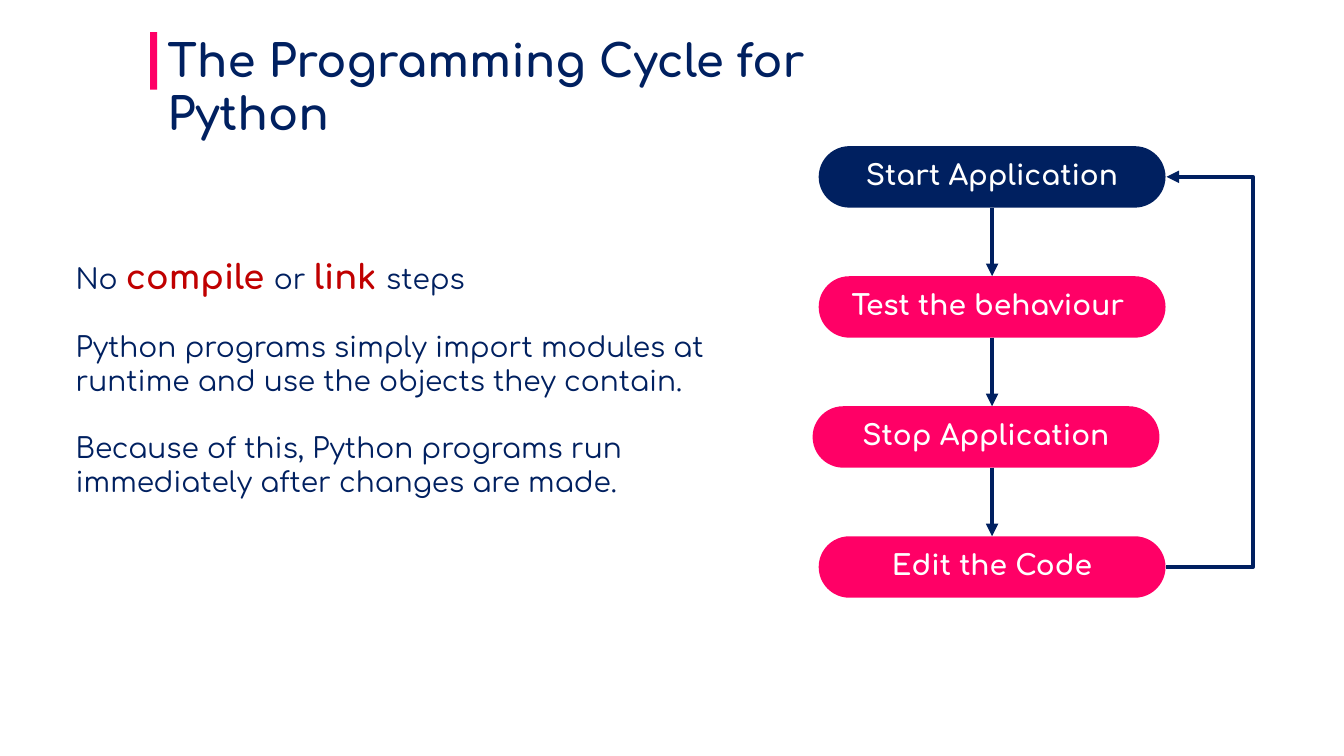
from lxml.etree import SubElement
from pptx import Presentation
from pptx.dml.color import RGBColor
from pptx.enum.shapes import MSO_CONNECTOR, MSO_SHAPE
from pptx.enum.text import MSO_ANCHOR, MSO_AUTO_SIZE, PP_ALIGN
from pptx.oxml.ns import qn
from pptx.util import Inches, Pt

THEME = {
    "font": "Comfortaa",
    "navy": RGBColor.from_string("002060"),
    "pink": RGBColor.from_string("FF0066"),
    "red": RGBColor.from_string("C00000"),
    "white": RGBColor.from_string("FFFFFF"),
    "title": Pt(32),
    "strong": Pt(24),
    "text": Pt(20),
    "line": Pt(3),
}


def add_text(p, text, size="text", color="navy", bold=False):
    r = p.add_run()
    r.text = text
    r.font.name = THEME["font"]
    r.font.size = THEME[size]
    r.font.bold = bold
    r.font.color.rgb = THEME[color]


def add_arrow(kind, x1, y1, x2, y2):
    cxn = s.shapes.add_connector(kind, Inches(x1), Inches(y1), Inches(x2), Inches(y2))
    cxn.line.color.rgb = THEME["navy"]
    cxn.line.width = THEME["line"]
    SubElement(cxn.line._get_or_add_ln(), qn("a:tailEnd"), type="triangle")
    SubElement(cxn._element.spPr, qn("a:effectLst"))
    return cxn


prs = Presentation()
prs.slide_width, prs.slide_height = Inches(13.33), Inches(7.5)
s = prs.slides.add_slide(prs.slide_layouts[1])

title, body = s.shapes.title, s.placeholders[1]
for sp, box in ((title, (1.56, 0.32, 7.22, 0.59)), (body, (0.65, 2.49, 6.67, 2.52))):
    sp.left, sp.top, sp.width, sp.height = [Inches(v) for v in box]
    tf = sp.text_frame
    tf.word_wrap = True
    tf.auto_size = MSO_AUTO_SIZE.NONE
    tf.vertical_anchor = MSO_ANCHOR.TOP

title.text_frame.margin_top = 0
p = title.text_frame.paragraphs[0]
p.alignment = PP_ALIGN.LEFT
add_text(p, "The Programming Cycle for Python", size="title", bold=True)

strong = {"size": "strong", "color": "red", "bold": True}
paragraphs = [
    [("No ", {}), ("compile ", strong), ("or ", {}), ("link ", strong), ("steps", {})],
    [("Python programs simply import modules at runtime and use the objects they contain. ", {})],
    [("Because of this, Python programs run immediately after changes are made.", {})],
]
tf = body.text_frame
for i, runs in enumerate(paragraphs):
    p = tf.add_paragraph() if i else tf.paragraphs[0]
    p.space_before = Pt(24 if i else 0)
    pPr = p._p.get_or_add_pPr()
    pPr.set("marL", "0")
    pPr.set("indent", "0")
    SubElement(pPr, qn("a:buNone"))
    for text, fmt in runs:
        add_text(p, text, **fmt)

bar = s.shapes.add_shape(MSO_SHAPE.RECTANGLE, Inches(1.49), Inches(0.32), Inches(0.07), Inches(0.57))
bar.shadow.inherit = False
bar.fill.solid()
bar.fill.fore_color.rgb = THEME["pink"]
bar.line.fill.background()

left, top, width, height, pitch = 8.12, 1.45, 3.44, 0.61, 1.29
steps = [
    ("Start Application", "navy", left),
    ("Test the behaviour ", "pink", left),
    ("Stop Application", "pink", left - 0.06),
    ("Edit the Code", "pink", left),
]
for i, (text, color, x) in enumerate(steps):
    y = top + i * pitch
    pill = s.shapes.add_shape(MSO_SHAPE.ROUNDED_RECTANGLE, Inches(x), Inches(y), Inches(width), Inches(height))
    pill.adjustments[0] = 0.5
    pill.shadow.inherit = False
    pill.fill.solid()
    pill.fill.fore_color.rgb = THEME[color]
    pill.line.fill.background()
    tf = pill.text_frame
    tf.margin_top = 0
    tf.vertical_anchor = MSO_ANCHOR.MIDDLE
    p = tf.paragraphs[0]
    p.alignment = PP_ALIGN.CENTER
    add_text(p, text, color="white", bold=True)
    if i:
        center = left + width / 2
        add_arrow(MSO_CONNECTOR.STRAIGHT, center, y - pitch + height, center, y)

right, first, last = left + width, top + height / 2, top + 3 * pitch + height / 2
gap, reach = 0.01, 0.88
loop = add_arrow(MSO_CONNECTOR.ELBOW, right, last, right + gap, first)
avLst = loop._element.spPr.find(qn("a:prstGeom")).get_or_add_avLst()
SubElement(avLst, qn("a:gd"), name="adj1", fmla=f"val {round(reach / gap * 100000)}")

prs.save("out.pptx")
